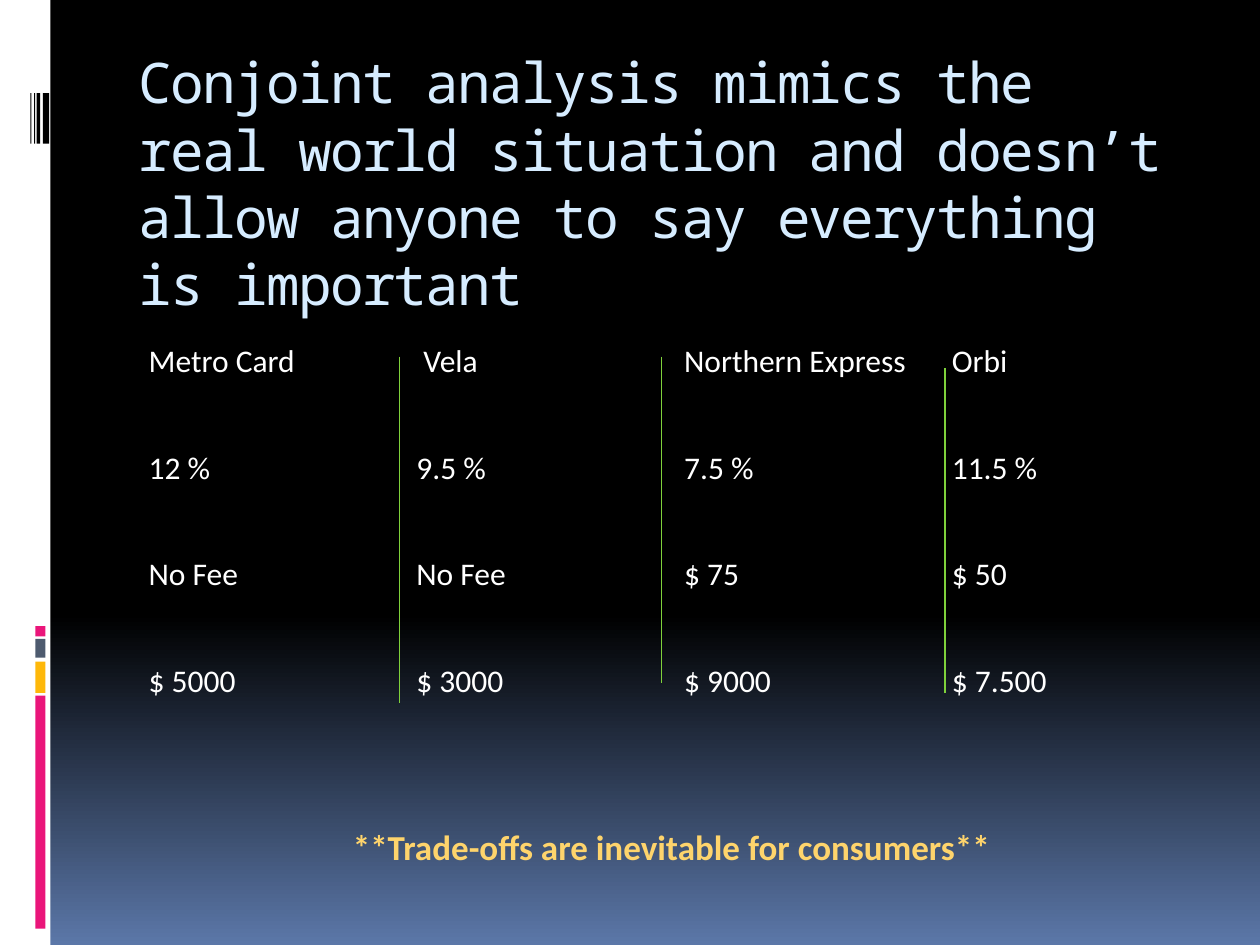
from copy import deepcopy

from pptx import Presentation
from pptx.dml.color import RGBColor
from pptx.enum.shapes import MSO_CONNECTOR, MSO_SHAPE
from pptx.enum.text import MSO_ANCHOR, MSO_AUTO_SIZE, PP_ALIGN
from pptx.oxml.ns import qn
from pptx.util import Inches, Pt
from lxml import etree


def color(value):
    return RGBColor.from_string(value)


def write(text_frame, text, align, formats):
    paragraph = text_frame.paragraphs[0]
    paragraph.alignment = align
    run = paragraph.add_run()
    run.text = text
    run.font.color.rgb = color(formats["color"])
    for name in ("name", "size", "bold"):
        setattr(run.font, name, formats[name])
    return run


TITLE = {"name": "Noto Sans Mono", "size": Pt(32), "bold": False, "color": "D6ECFF"}
CELL = {"name": "Calibri", "size": Pt(18), "bold": False, "color": "FFFFFF"}
NOTE = {"name": "Calibri", "size": Pt(20), "bold": True, "color": "FED46C"}

presentation = Presentation()
presentation.slide_width = Inches(10)
presentation.slide_height = Inches(7.5)
slide = presentation.slides.add_slide(presentation.slide_layouts[5])

# Background gradient, black down to blue
background = slide.background.fill
background.gradient()
background.gradient_angle = 270
stop_list = slide.element.find(".//" + qn("a:gsLst"))
stop_list.insert(1, deepcopy(stop_list[0]))
gradient = [(0, "000000"), (0.65, "000000"), (1, "5B77A8")]
for stop, (position, value) in zip(background.gradient_stops, gradient):
    stop.position = position
    stop.color.rgb = color(value)

# Side strip, coloured blocks and black bars
decorations = [
    (0, 0, 0.4, 7.5, "FFFFFF"),
    (0.28, 5.52, 0.08, 1.85, "EA157A"),
    (0.28, 5.25, 0.08, 0.25, "FEB80A"),
    (0.28, 5.07, 0.08, 0.15, "4E5B6F"),
    (0.28, 4.97, 0.08, 0.08, "EA157A"),
    (0.34, 0.74, 0.05, 0.4, "000000"),
    (0.29, 0.74, 0.03, 0.4, "000000"),
    (0.27, 0.74, 0.01, 0.4, "000000"),
    (0.24, 0.74, 0.01, 0.4, "000000"),
]
for left, top, width, height, value in decorations:
    shape = slide.shapes.add_shape(
        MSO_SHAPE.RECTANGLE, Inches(left), Inches(top), Inches(width), Inches(height))
    shape.shadow.inherit = False
    shape.fill.solid()
    shape.fill.fore_color.rgb = color(value)
    shape.line.fill.background()

# Title
title = slide.shapes.title
title.left, title.top, title.width, title.height = map(Inches, (1, 0.33, 8.5, 1))
title.text_frame.word_wrap = True
title.text_frame.auto_size = MSO_AUTO_SIZE.NONE
title.text_frame.vertical_anchor = MSO_ANCHOR.TOP
title_run = write(
    title.text_frame,
    "Conjoint analysis mimics the real world situation and doesn’t "
    "allow anyone to say everything is important",
    PP_ALIGN.LEFT, TITLE)
title_run.font._element.set("spc", "-100")

# Card offers
offers = [
    ["Metro Card", " Vela", "Northern Express", "Orbi"],
    ["12 %", "9.5 %", "7.5 %", "11.5 %"],
    ["No Fee", "No Fee", "$ 75", "$ 50"],
    ["$ 5000", "$ 3000", "$ 9000", "$ 7.500"],
]
table_frame = slide.shapes.add_table(
    4, 4, Inches(1.08), Inches(2.67), Inches(8.5), Inches(3.38))
table = table_frame.table
table.first_row = table.horz_banding = False
style = table_frame.element.find(".//" + qn("a:tableStyleId"))
style.text = "{2D5ABB26-0587-4C30-8999-92F81FD0307C}"  # no style, no grid
for row, texts in enumerate(offers):
    for column, text in enumerate(texts):
        cell = table.cell(row, column)
        cell.fill.background()
        write(cell.text_frame, text, PP_ALIGN.LEFT, CELL)

# Column dividers
for x, top, bottom in [(3.17, 2.83, 5.58), (5.25, 2.83, 5.42), (7.5, 2.92, 5.5)]:
    divider = slide.shapes.add_connector(
        MSO_CONNECTOR.STRAIGHT, Inches(x), Inches(top), Inches(x), Inches(bottom))
    divider.line.color.rgb = color("7FD13B")
    divider.line.width = Pt(0.94)
    etree.SubElement(divider.element.spPr, qn("a:effectLst"))

# Closing note
note = slide.shapes.add_textbox(Inches(1.33), Inches(6.5), Inches(8), Inches(0.44))
note.text_frame.word_wrap = True
note.text_frame.auto_size = MSO_AUTO_SIZE.SHAPE_TO_FIT_TEXT
write(note.text_frame, "**Trade-offs are inevitable for consumers**", PP_ALIGN.CENTER, NOTE)

presentation.save("out.pptx")
